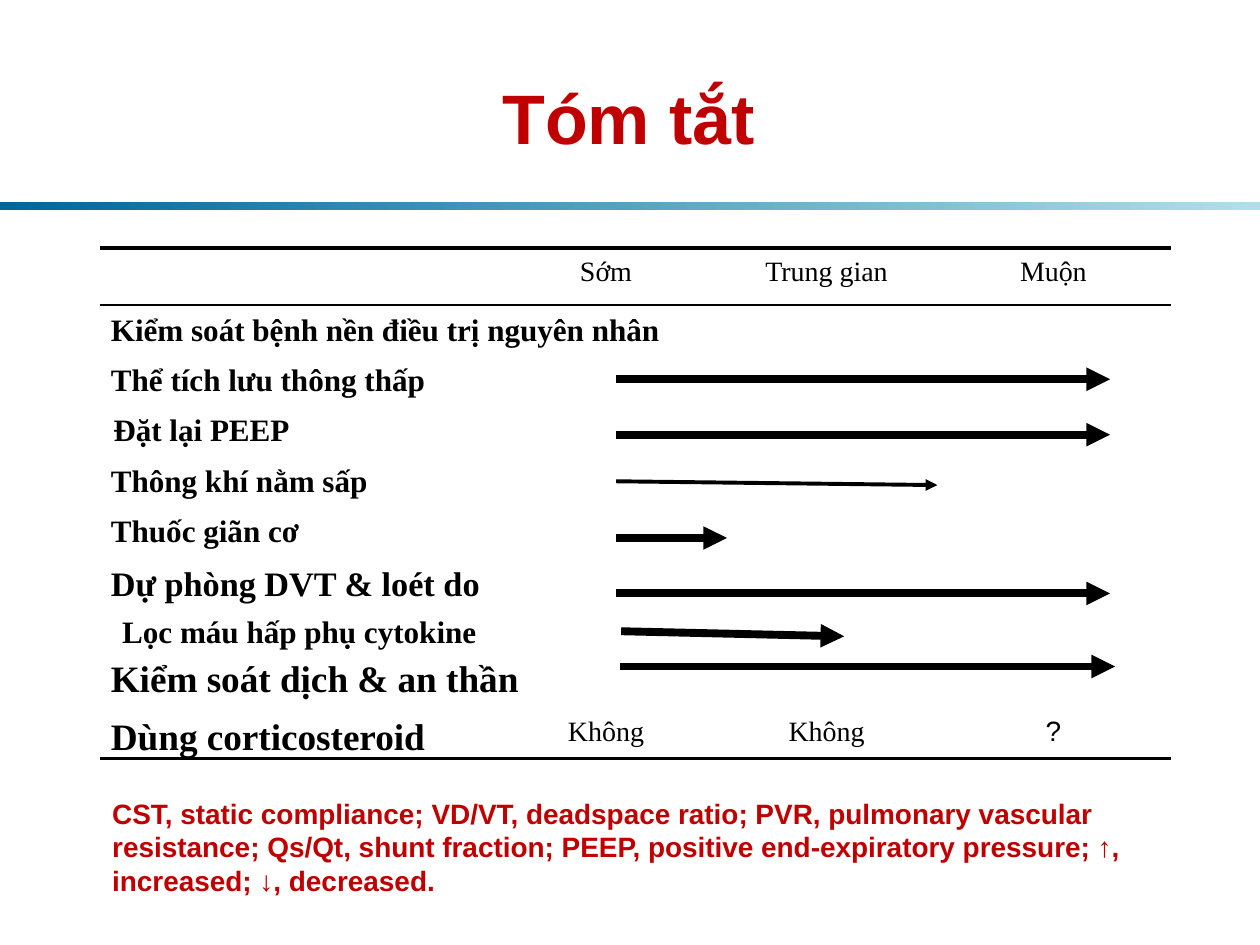
from dataclasses import dataclass
from typing import Any

from lxml import etree
from pptx import Presentation
from pptx.dml.color import RGBColor
from pptx.enum.shapes import MSO_CONNECTOR as Connector, MSO_SHAPE as Shape
from pptx.enum.text import MSO_ANCHOR as Anchor, PP_ALIGN as Align
from pptx.oxml.ns import qn
from pptx.util import Inches, Pt


def color(value):
    return RGBColor.from_string(value)


@dataclass
class Page:
    slide: Any
    sans: str = "Arial"
    serif: str = "Times New Roman"
    ink: str = "000000"
    accent: str = "C00000"

    def text(self, words, left, top, width, height, size,
             font=None, ink=None, bold=False, align=Align.LEFT):
        box = self.slide.shapes.add_textbox(
            Inches(left), Inches(top), Inches(width), Inches(height))
        frame = box.text_frame
        frame.word_wrap = True
        frame.vertical_anchor = Anchor.TOP
        frame.margin_left = frame.margin_right = Inches(0.09)
        frame.margin_top = frame.margin_bottom = Inches(0.04)
        frame.text = words
        para = frame.paragraphs[0]
        para.alignment = align
        span = para.runs[0]
        span.font.name = font or self.serif
        span.font.size = Pt(size)
        span.font.bold = bold
        span.font.color.rgb = color(ink or self.ink)

    def gradient_bar(self, left, top, width, height, start, end):
        bar = self.slide.shapes.add_shape(
            Shape.RECTANGLE, Inches(left), Inches(top), Inches(width), Inches(height))
        bar.shadow.inherit = False
        bar.line.fill.background()
        bar.fill.gradient()
        bar.fill.gradient_angle = 0
        for stop, position, value in zip(bar.fill.gradient_stops, (0, 1), (start, end)):
            stop.position = position
            stop.color.rgb = color(value)

    def line(self, x1, y1, x2, y2, weight, arrow=False):
        line = self.slide.shapes.add_connector(
            Connector.STRAIGHT, Inches(x1), Inches(y1), Inches(x2), Inches(y2))
        line.line.color.rgb = color(self.ink)
        line.line.width = Pt(weight)
        if arrow:
            tail = etree.SubElement(line.line._get_or_add_ln(), qn("a:tailEnd"))
            tail.set("type", "triangle")
        etree.SubElement(line._element.spPr, qn("a:effectLst"))


def main():
    deck = Presentation()
    deck.slide_width, deck.slide_height = Inches(10), Inches(7.5)
    page = Page(deck.slides.add_slide(deck.slide_layouts[6]))

    # Title and divider
    page.text("Tóm tắt", 0.74, 0.55, 8.5, 0.59, 40, page.sans, page.accent,
              True, Align.CENTER)
    page.gradient_bar(0, 1.6, 10, 0.07, "006699", "B0DFEA")

    # Phase columns: heading and corticosteroid answer
    phases = [
        (3.96, 1.7, "Sớm", "Không", page.serif),
        (5.67, 1.78, "Trung gian", "Không", page.serif),
        (7.44, 1.84, "Muộn", "?", page.sans),
    ]
    for left, width, heading, answer, font in phases:
        page.text(heading, left, 1.97, width, 0.44, 16, align=Align.CENTER)
        page.text(answer, left, 5.62, width, 0.4, 16, font, align=Align.CENTER)

    # Treatments: words, left, top, width, size
    treatments = [
        ("Kiểm soát bệnh nền điều trị nguyên nhân", 0.79, 2.42, 5.14, 17.8),
        ("Thể tích lưu thông thấp", 0.79, 2.82, 3.58, 17.8),
        ("Đặt lại PEEP", 0.81, 3.22, 8.3, 17.8),
        ("Thông khí nằm sấp", 0.79, 3.62, 8.1, 17.8),
        ("Thuốc giãn cơ", 0.79, 4.02, 8.62, 17.8),
        ("Dự phòng DVT & loét do", 0.79, 4.42, 3.18, 19.6),
        ("Lọc máu hấp phụ cytokine", 0.88, 4.82, 3.18, 17.8),
        ("Kiểm soát dịch & an thần", 0.79, 5.16, 3.66, 21.3),
        ("Dùng corticosteroid", 0.79, 5.62, 3.18, 21.3),
    ]
    for words, left, top, width, size in treatments:
        page.text(words, left, top, width, 0.4, size, bold=True)

    # Horizontal rules
    for y, weight in ((1.97, 2.25), (2.42, 1), (6.02, 2.25)):
        page.line(0.79, y, 9.29, y, weight)

    # Duration arrows
    durations = [
        (4.89, 3.01, 8.81, 3.01, 4.5),
        (4.89, 3.45, 8.81, 3.45, 4.5),
        (4.89, 3.82, 7.44, 3.85, 2.25),
        (4.89, 4.27, 5.77, 4.27, 4.5),
        (4.89, 4.71, 8.81, 4.71, 4.5),
        (4.93, 5.01, 6.7, 5.05, 4.5),
        (4.92, 5.29, 8.85, 5.29, 4.5),
    ]
    for duration in durations:
        page.line(*duration, arrow=True)

    # Abbreviations
    page.text("CST, static compliance; VD/VT, deadspace ratio; PVR, pulmonary "
              "vascular resistance; Qs/Qt, shunt fraction; PEEP, positive "
              "end-expiratory pressure; ↑, increased; ↓, decreased.",
              0.8, 6.28, 8.39, 0.9, 16, page.sans, page.accent, True)

    deck.save("out.pptx")


if __name__ == "__main__":
    main()
